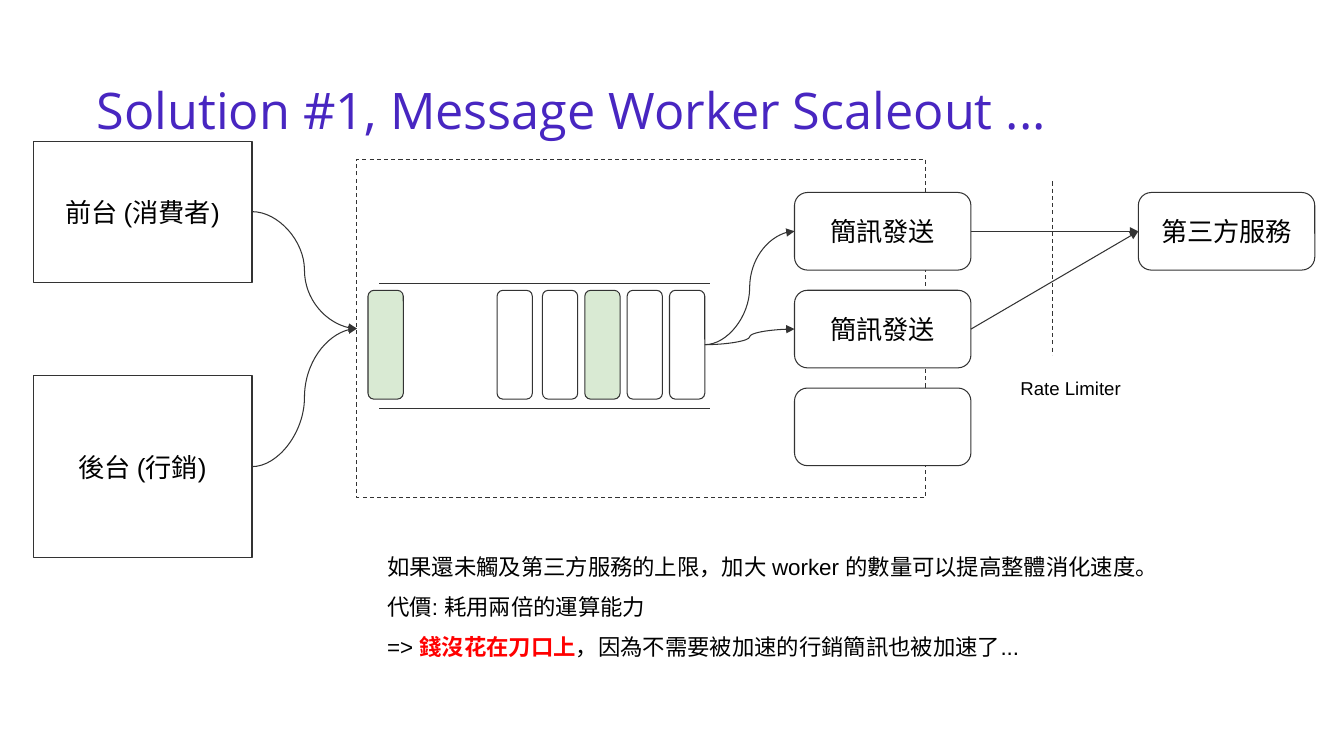
import pptx
import pptx.util
import pptx.dml.color
import pptx.enum.dml
import pptx.enum.shapes
import pptx.enum.text
import pptx.oxml
import pptx.oxml.ns

Inches = pptx.util.Inches
Pt = pptx.util.Pt
RGBColor = pptx.dml.color.RGBColor
MSO_SHAPE = pptx.enum.shapes.MSO_SHAPE
MSO_CONNECTOR = pptx.enum.shapes.MSO_CONNECTOR
MSO_ANCHOR = pptx.enum.text.MSO_ANCHOR
PP_ALIGN = pptx.enum.text.PP_ALIGN
DASH = pptx.enum.dml.MSO_LINE.DASH

PURPLE = RGBColor(0x48, 0x26, 0xC1)
DARK = RGBColor(0x33, 0x33, 0x33)
GREEN = RGBColor(0xD9, 0xEA, 0xD3)
WHITE = RGBColor(0xFF, 0xFF, 0xFF)
BLACK = RGBColor(0x00, 0x00, 0x00)
RED = RGBColor(0xFF, 0x00, 0x00)

LEFT_SITE, RIGHT_SITE = 1, 3


def set_margins(tf, inset):
    tf.margin_left = tf.margin_right = Inches(inset)
    tf.margin_top = tf.margin_bottom = Inches(inset)
    tf.word_wrap = True


def style_paragraph(p, size, color=BLACK, name="Arial"):
    p.font.size = Pt(size)
    p.font.name = name
    p.font.color.rgb = color


def style_line(line, dashed=False):
    line.color.rgb = DARK
    line.width = Pt(0.75)
    if dashed:
        line.dash_style = DASH


def add_box(s, box, text="", fill=WHITE, rounded=False, dashed=False):
    kind = MSO_SHAPE.ROUNDED_RECTANGLE if rounded else MSO_SHAPE.RECTANGLE
    sp = s.shapes.add_shape(kind, *map(Inches, box))
    sp.shadow.inherit = False
    sp.fill.solid()
    sp.fill.fore_color.rgb = fill
    style_line(sp.line, dashed)
    if text:
        tf = sp.text_frame
        set_margins(tf, 0.13)
        tf.vertical_anchor = MSO_ANCHOR.MIDDLE
        p = tf.paragraphs[0]
        p.text = text
        p.alignment = PP_ALIGN.CENTER
        style_paragraph(p, 18.7)
    return sp


def add_text(s, box, inset=0.13):
    tf = s.shapes.add_textbox(*map(Inches, box)).text_frame
    set_margins(tf, inset)
    return tf


def add_line(s, start, end, kind=MSO_CONNECTOR.STRAIGHT, dashed=False):
    cxn = s.shapes.add_connector(kind, *map(Inches, start + end))
    style_line(cxn.line, dashed)
    pptx.oxml.ns.qn("a:effectLst")
    cxn._element.spPr.append(
        pptx.oxml.parse_xml("<a:effectLst %s/>" % pptx.oxml.ns.nsdecls("a")))
    return cxn


def add_arrow(s, source, target, kind=MSO_CONNECTOR.STRAIGHT):
    cxn = add_line(s, (0, 0), (0, 0), kind)
    cxn.begin_connect(source, RIGHT_SITE)
    cxn.end_connect(target, LEFT_SITE)
    cxn.line._get_or_add_ln().append(pptx.oxml.parse_xml(
        '<a:tailEnd %s type="triangle"/>' % pptx.oxml.ns.nsdecls("a")))


def add_title(s, box):
    tf = add_text(s, box, 0.04)
    tf.vertical_anchor = MSO_ANCHOR.MIDDLE
    p = tf.paragraphs[0]
    p.text = "Solution #1, Message Worker Scaleout ..."
    p.line_spacing = 0.9
    style_paragraph(p, 36, PURPLE, "Open Sans")


def add_senders(s, box):
    x, y, w, h = box
    front = add_box(s, (x, y, w, 1.4), "前台 (消費者)")
    back = add_box(s, (x, y + h - 1.8, w, 1.8), "後台 (行銷)")
    return front, back


def add_queue(s, box):
    x, y, w, h = box
    for rail_y in (y, y + h):
        add_line(s, (x + 0.11, rail_y), (x + w, rail_y))
    slot_w, slot_h, pitch = 0.35, 1.08, 0.42
    slots = [(0, GREEN), (1.28, WHITE)]
    slots += [(1.73 + pitch * i, GREEN if i == 1 else WHITE) for i in range(4)]
    for dx, fill in slots:
        slot = add_box(s, (x + dx, y + 0.07, slot_w, slot_h), fill=fill, rounded=True)
    return slot


def add_workers(s, box):
    x, y, w, h = box
    worker_h = 0.77
    pitch = (h - worker_h) / 2
    return [add_box(s, (x, y + i * pitch, w, worker_h), text, rounded=True)
            for i, text in enumerate(("簡訊發送", "簡訊發送", ""))]


def add_rate_limiter(s, box):
    x, y, w, h = box
    add_line(s, (x + 0.45, y), (x + 0.45, y + 1.72), dashed=True)
    label_h = 0.66
    p = add_text(s, (x, y + h - label_h, w, label_h)).paragraphs[0]
    p.text = "Rate Limiter"
    style_paragraph(p, 13.3)


def add_conclusion(s, box):
    tf = add_text(s, box)
    lines = (
        [("如果還未觸及第三方服務的上限，加大 worker 的數量可以提高整體消化速度。", False)],
        [("代價: 耗用兩倍的運算能力", False)],
        [("=> ", False), ("錢沒花在刀口上", True),
         ("，因為不需要被加速的行銷簡訊也被加速了...", False)],
    )
    for i, line in enumerate(lines):
        p = tf.paragraphs[0] if i == 0 else tf.add_paragraph()
        p.line_spacing = 1.5
        style_paragraph(p, 16)
        for text, key in line:
            r = p.add_run()
            r.text = text
            r.font.size = Pt(16)
            r.font.name = "Arial"
            r.font.bold = key
            r.font.color.rgb = RED if key else BLACK


def main():
    prs = pptx.Presentation()
    prs.slide_width, prs.slide_height = Inches(13.33), Inches(7.5)
    s = prs.slides.add_slide(prs.slide_layouts[6])

    add_title(s, (0.92, 0.4, 11.5, 1.45))
    system = add_box(s, (3.54, 1.58, 5.64, 3.36), dashed=True)
    last_slot = add_queue(s, (3.65, 2.81, 3.39, 1.24))
    workers = add_workers(s, (7.88, 1.91, 1.75, 2.71))
    service = add_box(s, (11.29, 1.91, 1.75, 0.77), "第三方服務", rounded=True)
    for sender in add_senders(s, (0.33, 1.4, 2.17, 4.13)):
        add_arrow(s, sender, system, MSO_CONNECTOR.CURVE)
    add_rate_limiter(s, (9.99, 1.8, 1.48, 2.49))
    for worker in workers[:2]:
        add_arrow(s, last_slot, worker, MSO_CONNECTOR.CURVE)
        add_arrow(s, worker, service)
    add_conclusion(s, (3.71, 5.22, 9.12, 1.4))

    prs.save("out.pptx")


if __name__ == "__main__":
    main()
